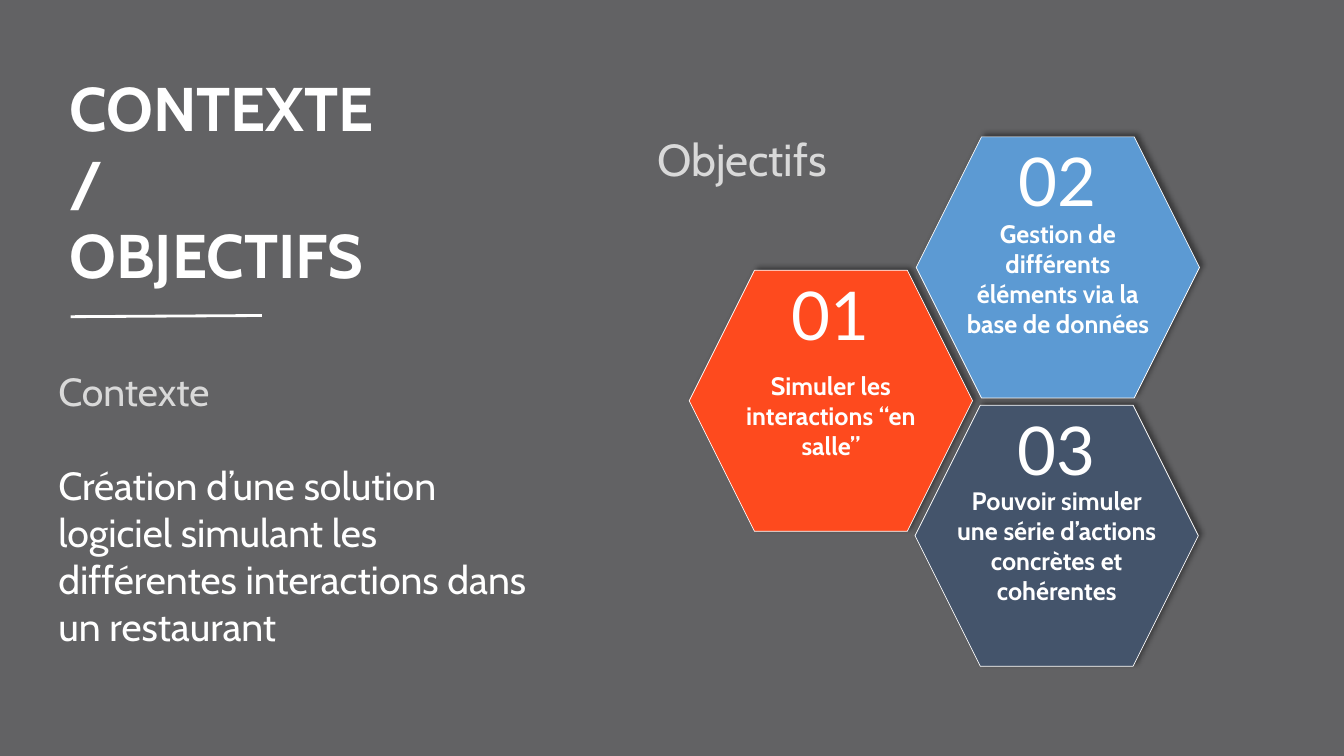
from dataclasses import dataclass

import pptx
import pptx.dml.color
import pptx.enum.shapes
import pptx.enum.text
import pptx.oxml
import pptx.oxml.ns
import pptx.util
from pptx.util import Cm

WHITE = "FFFFFF"
LIGHT_GREY = "D9D9D9"
HEXAGON_WIDTH, HEXAGON_HEIGHT = 7.14, 6.58
NUMBER_WIDTH, NUMBER_HEIGHT = 4.22, 2.31
LABEL_WIDTH = 5.38
SHADOW = (
    f'<a:effectLst {pptx.oxml.ns.nsdecls("a")}>'
    '<a:outerShdw blurRad="50800" dist="38100" dir="18900000" algn="bl" rotWithShape="0">'
    '<a:srgbClr val="000000"><a:alpha val="40000"/></a:srgbClr>'
    '</a:outerShdw></a:effectLst>'
)


@dataclass
class Objective:
    number: str
    label: str
    fill: str
    left: float
    top: float
    label_offset: float
    label_height: float


@dataclass
class Style:
    size: float
    color: str = WHITE
    font: str = "Cabin"
    bold: bool = False
    centered: bool = False


OBJECTIVES = [
    Objective("02", "Gestion de différents éléments via la base de données",
              "5C9AD3", 23.09, 3.45, 1.96, 3.25),
    Objective("01", "Simuler les interactions “en salle”",
              "FE4A1E", 17.37, 6.81, 2.44, 2.49),
    Objective("03", "Pouvoir simuler une série d’actions concrètes et cohérentes",
              "44546B", 23.06, 10.21, 1.93, 4.01),
]
NUMBER_STYLE = Style(48, font="Lato", centered=True)
LABEL_STYLE = Style(18, bold=True, centered=True)


def rgb(color: str) -> pptx.dml.color.RGBColor:
    return pptx.dml.color.RGBColor.from_string(color)


def style_paragraph(paragraph, style: Style) -> None:
    if style.centered:
        paragraph.alignment = pptx.enum.text.PP_ALIGN.CENTER
    for run in paragraph.runs:
        run.font.name = style.font
        run.font.size = pptx.util.Pt(style.size)
        run.font.bold = style.bold
        run.font.color.rgb = rgb(style.color)


def add_text(shapes, left: float, top: float, width: float, height: float,
             text: str, style: Style):
    shape = shapes.add_textbox(Cm(left), Cm(top), Cm(width), Cm(height))
    text_frame = shape.text_frame
    text_frame.word_wrap = True
    text_frame.auto_size = pptx.enum.text.MSO_AUTO_SIZE.SHAPE_TO_FIT_TEXT
    text_frame.text = text
    style_paragraph(text_frame.paragraphs[0], style)
    return text_frame


def add_hexagon(shapes, objective: Objective) -> None:
    shape = shapes.add_shape(pptx.enum.shapes.MSO_SHAPE.HEXAGON, Cm(objective.left),
                             Cm(objective.top), Cm(HEXAGON_WIDTH), Cm(HEXAGON_HEIGHT))
    shape.fill.solid()
    shape.fill.fore_color.rgb = rgb(objective.fill)
    shape.line.color.rgb = rgb(WHITE)
    shape.line.width = pptx.util.Pt(0.5)
    shape._element.spPr.append(pptx.oxml.parse_xml(SHADOW))


def add_objective_text(shapes, objective: Objective) -> None:
    group = shapes.add_group_shape()
    number_frame = add_text(
        group.shapes, objective.left + (HEXAGON_WIDTH - NUMBER_WIDTH) / 2,
        objective.top - 0.07, NUMBER_WIDTH, NUMBER_HEIGHT, objective.number, NUMBER_STYLE)
    number_frame.vertical_anchor = pptx.enum.text.MSO_ANCHOR.MIDDLE
    label_frame = add_text(
        group.shapes, objective.left + (HEXAGON_WIDTH - LABEL_WIDTH) / 2,
        objective.top + objective.label_offset, LABEL_WIDTH, objective.label_height,
        objective.label, LABEL_STYLE)
    label_frame.margin_left = label_frame.margin_right = Cm(0.18)
    label_frame.margin_top = label_frame.margin_bottom = Cm(0.08)


def add_title_rule(shapes) -> None:
    connector = shapes.add_connector(pptx.enum.shapes.MSO_CONNECTOR.STRAIGHT,
                                     Cm(1.78), Cm(7.98), Cm(6.6), Cm(7.95))
    connector.line.color.rgb = rgb(WHITE)
    connector.line.width = pptx.util.Pt(2)
    connector._element.spPr.append(
        pptx.oxml.parse_xml(f'<a:effectLst {pptx.oxml.ns.nsdecls("a")}/>'))


def add_context(shapes) -> None:
    text_frame = add_text(shapes, 1.22, 9.12, 12.75, 7.44, "Contexte",
                          Style(28, LIGHT_GREY))
    paragraph = text_frame.add_paragraph()
    paragraph.text = ("Création d’une solution logiciel simulant les "
                      "différentes interactions dans un restaurant")
    paragraph.space_before = pptx.util.Pt(34)
    style_paragraph(paragraph, Style(28))


def main() -> None:
    presentation = pptx.Presentation()
    presentation.slide_width, presentation.slide_height = Cm(33.87), Cm(19.05)
    slide = presentation.slides.add_slide(presentation.slide_layouts[6])
    slide.background.fill.solid()
    slide.background.fill.fore_color.rgb = rgb("626264")
    shapes = slide.shapes

    for objective in OBJECTIVES:
        add_hexagon(shapes, objective)
    add_text(shapes, 1.5, 1.63, 8.2, 5.89, "CONTEXTE/OBJECTIFS", Style(44, bold=True))
    add_context(shapes)
    add_title_rule(shapes)
    for objective in OBJECTIVES:
        add_objective_text(shapes, objective)
    add_text(shapes, 16.31, 3.2, 16.92, 1.63, "Objectifs", Style(32, LIGHT_GREY))

    presentation.save("out.pptx")


if __name__ == "__main__":
    main()
